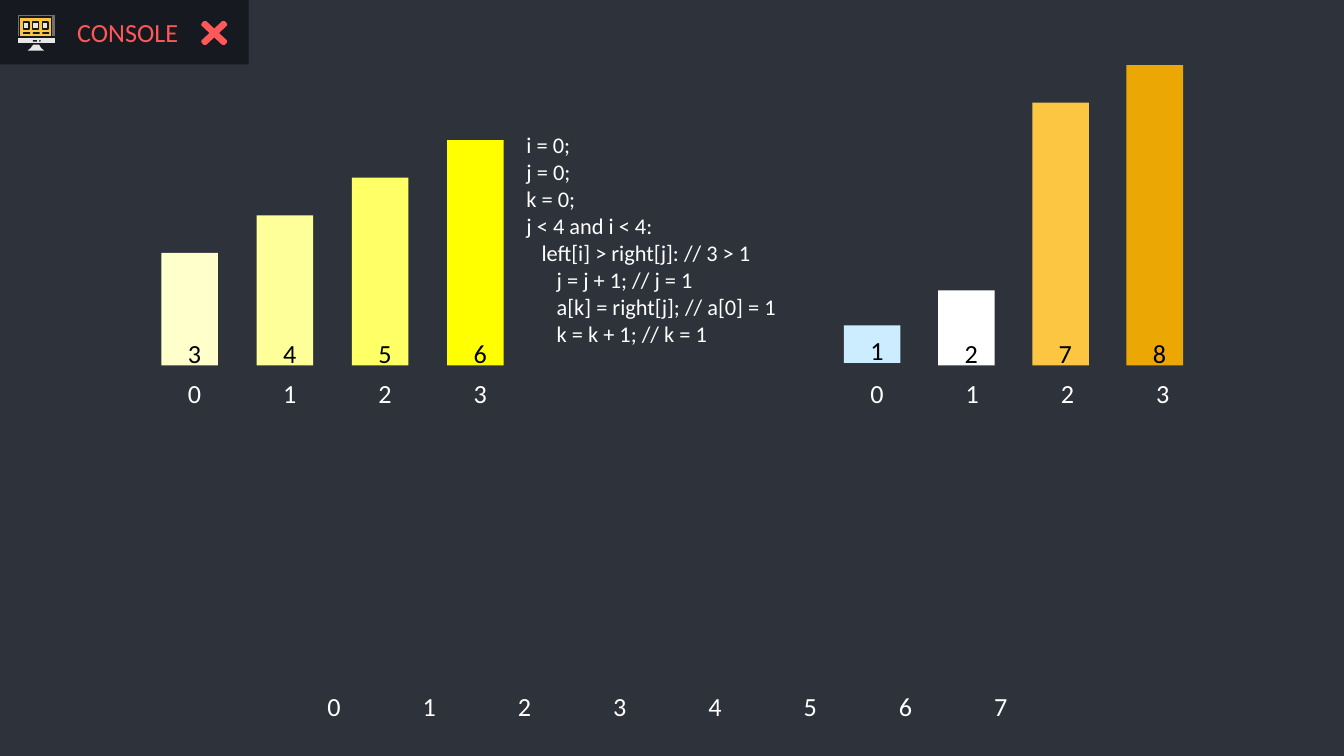
from pptx import Presentation
from pptx.dml.color import RGBColor
from pptx.enum.shapes import MSO_SHAPE as Shape
from pptx.enum.text import MSO_ANCHOR as Anchor, MSO_AUTO_SIZE as AutoSize, PP_ALIGN as Align
from pptx.util import Cm, Pt

DARK, RED, LIGHT, AMBER = "16191F", "FF5858", "E7E7E7", "FCC642"
WHITE, BLACK = "FFFFFF", "000000"
STEP, UNIT, BASE = 1.8, 0.71, 6.91
CODE = [
    "i = 0;",
    "j = 0;",
    "k = 0;",
    "j < 4 and i < 4:",
    "   left[i] > right[j]: // 3 > 1",
    "      j = j + 1; // j = 1",
    "      a[k] = right[j]; // a[0] = 1",
    "      k = k + 1; // k = 1",
]


def rgb(value):
    return RGBColor.from_string(value)


class SlideBuilder:
    font = "Calibri"

    def __init__(self, prs, background):
        self.s = prs.slides.add_slide(prs.slide_layouts[6])
        fill = self.s.background.fill
        fill.solid()
        fill.fore_color.rgb = rgb(background)

    def paint(self, sp, fill, line=None, width=0.75):
        sp.shadow.inherit = False
        sp.fill.solid()
        sp.fill.fore_color.rgb = rgb(fill)
        if line:
            sp.line.color.rgb = rgb(line)
            sp.line.width = Pt(width)
        else:
            sp.line.fill.background()
        return sp

    def shape(self, x, y, w, h, fill, line=None, width=0.75, kind=Shape.RECTANGLE):
        sp = self.s.shapes.add_shape(kind, Cm(x), Cm(y), Cm(w), Cm(h))
        return self.paint(sp, fill, line, width)

    def outline(self, points, fill, line):
        start, *rest = [(Cm(x), Cm(y)) for x, y in points]
        builder = self.s.shapes.build_freeform(*start)
        builder.add_line_segments(rest, close=True)
        return self.paint(builder.convert_to_shape(), fill, line)

    def add_lines(self, tf, lines, size, color, align=Align.LEFT):
        tf.word_wrap = True
        for i, line in enumerate(lines):
            p = tf.paragraphs[0] if i == 0 else tf.add_paragraph()
            p.alignment = align
            r = p.add_run()
            r.text = line
            r.font.name = self.font
            r.font.size = Pt(size)
            r.font.color.rgb = rgb(color)

    def text(self, x, y, w, h, lines, size, color):
        tf = self.s.shapes.add_textbox(Cm(x), Cm(y), Cm(w), Cm(h)).text_frame
        self.add_lines(tf, lines, size, color)
        return tf

    def digit(self, x, y, value, color):
        tf = self.text(x, y, 0.56, 0.61, [str(value)], 14, color)
        tf.auto_size = AutoSize.SHAPE_TO_FIT_TEXT

    def indices(self, x, y, count):
        for i in range(count):
            self.digit(x + i * STEP, y, i, WHITE)

    def bar(self, x, value, fill, base=BASE):
        height = value * UNIT
        self.shape(x, base - height, 1.07, height, fill)
        self.digit(x + 0.25, base - 0.66, value, BLACK)

    def monitor(self):
        self.shape(0.32, 0.27, 0.74, 0.44, "707070", DARK)
        self.shape(0.37, 0.32, 0.61, 0.38, AMBER, DARK)
        for i in range(3):
            x = 0.44 + i * 0.18
            self.shape(x, 0.42, 0.11, 0.13, LIGHT, DARK)
            self.shape(x, 0.61, 0.13, 0.03, DARK)
        self.shape(0.32, 0.7, 0.74, 0.12, LIGHT, DARK)
        stand = [(0.62, 0.83), (0.75, 0.83), (0.79, 0.9), (0.88, 0.97), (0.48, 0.97), (0.57, 0.9)]
        self.outline(stand, LIGHT, DARK)
        self.shape(0.62, 0.76, 0.08, 0.03, DARK)
        self.shape(0.74, 0.76, 0.03, 0.03, DARK, kind=Shape.OVAL)

    def console_tab(self):
        tf = self.shape(0, 0, 4.7, 1.22, DARK).text_frame
        tf.margin_left = Cm(0.38)
        tf.vertical_anchor = Anchor.MIDDLE
        self.add_lines(tf, ["CONSOLE"], 14, RED, Align.CENTER)
        self.monitor()
        cross = self.shape(3.68, 0.28, 0.74, 0.69, RED, RED, 2, Shape.MATH_MULTIPLY)
        cross.adjustments[0] = 0.076


def main():
    prs = Presentation()
    prs.slide_width, prs.slide_height = Cm(25.4), Cm(14.29)
    slide = SlideBuilder(prs, "2E323B")
    slide.console_tab()

    for i, fill in enumerate(["FFFFCC", "FFFF99", "FFFF66", "FFFF00"]):
        slide.bar(3.05 + i * STEP, i + 3, fill)
    right_bars = [(1, "CCECFF", 6.86), (2, WHITE, BASE), (7, AMBER, BASE), (8, "EBA804", BASE)]
    for i, (value, fill, base) in enumerate(right_bars):
        slide.bar(15.95 + i * 1.78, value, fill, base)

    slide.indices(3.3, 7.01, 4)
    slide.indices(16.2, 7.01, 4)
    slide.indices(5.94, 12.93, 8)

    code = slide.text(9.7, 2.49, 6.27, 4.06, CODE, 12, WHITE)
    code.vertical_anchor = Anchor.MIDDLE
    prs.save("out.pptx")


if __name__ == "__main__":
    main()
